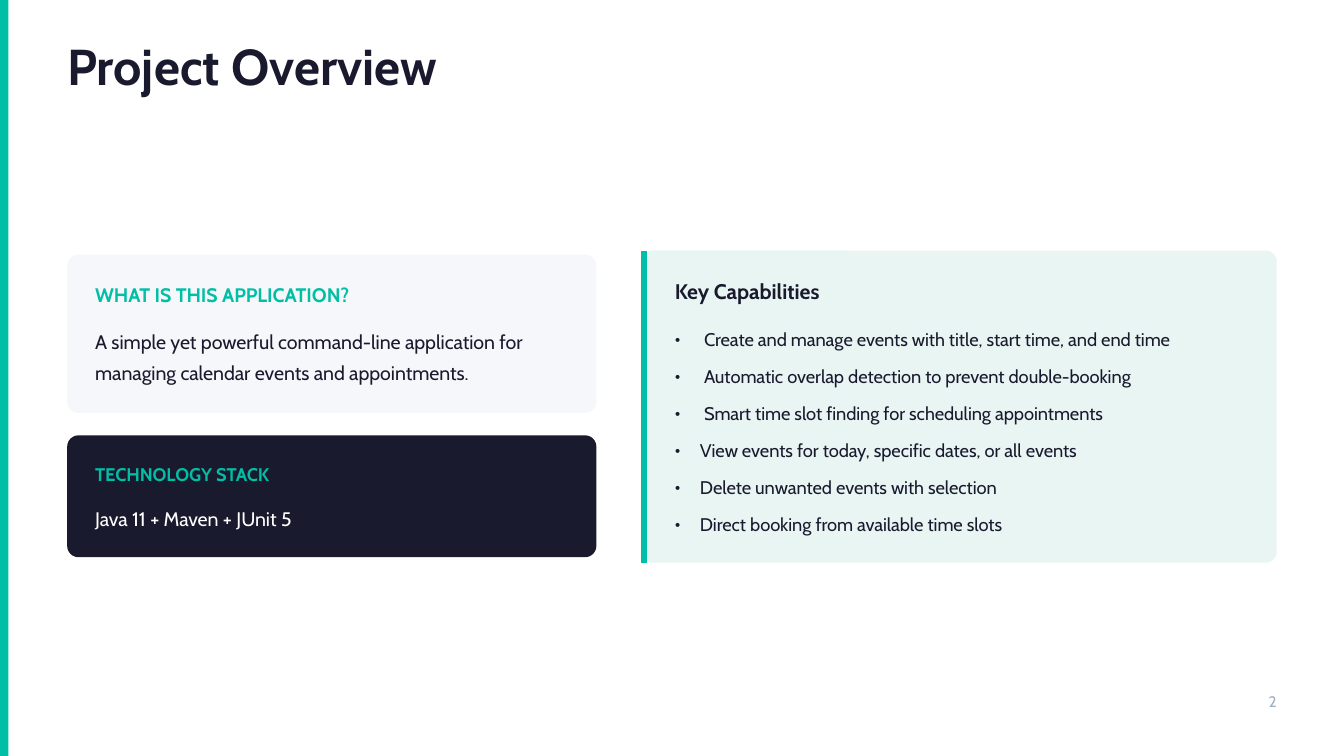
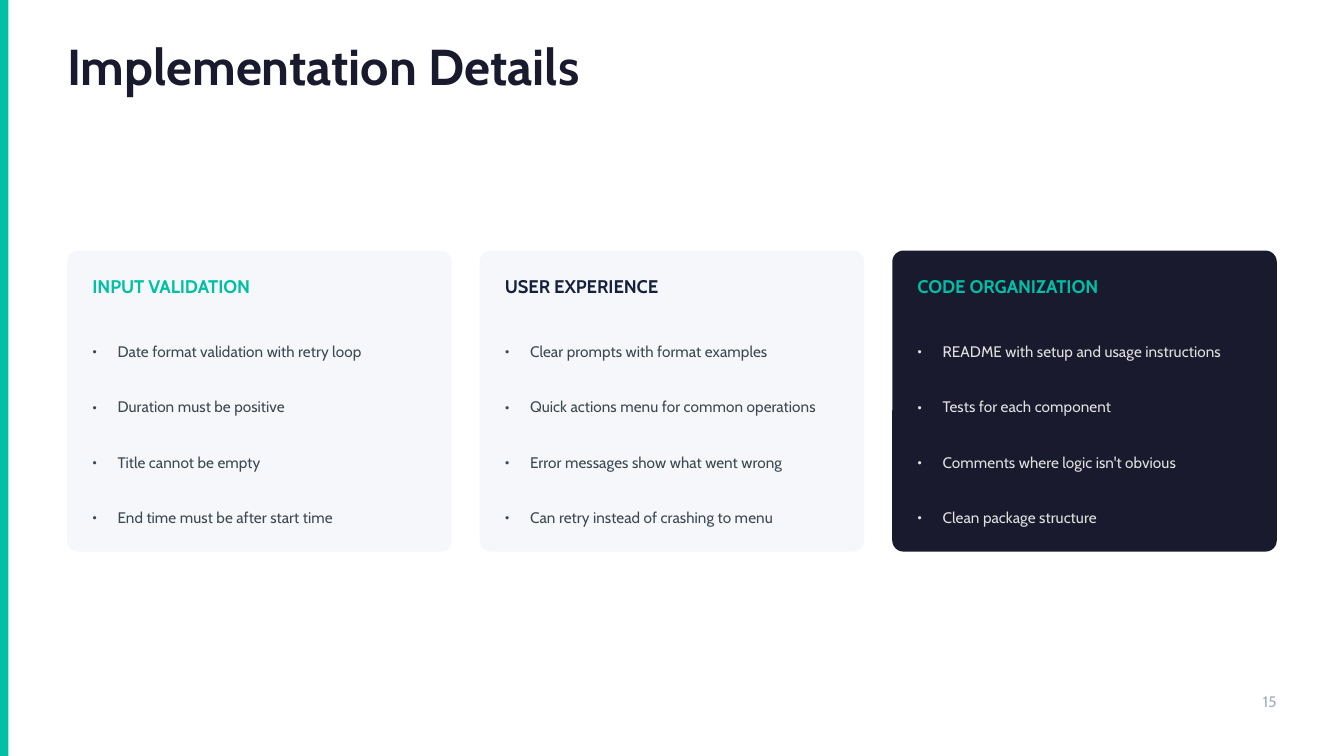
from dataclasses import dataclass

from lxml.etree import SubElement
from pptx import Presentation
from pptx.dml.color import RGBColor
from pptx.enum.shapes import MSO_CONNECTOR, MSO_SHAPE
from pptx.enum.text import PP_ALIGN
from pptx.oxml.ns import qn
from pptx.util import Emu, Pt

PX = 9525  # EMU in one px, 96 px to the inch
WIDTH, HEIGHT = 960, 540
LEFT, RIGHT = 48, 912


def px(n):
    return Emu(round(n * PX))


@dataclass(frozen=True)
class Theme:
    font: str = "Cabin"
    white: str = "FFFFFF"
    accent: str = "00BFA5"
    ink: str = "1A1A2E"
    navy: str = "16213E"
    body: str = "3D4852"
    pale: str = "E0E0E0"
    muted: str = "A0AEC0"
    card: str = "F5F7FA"
    mint: str = "E8F5F3"
    title: float = 27
    heading: float = 11.25
    text: float = 10.5
    label: float = 9.75
    small: float = 8.25
    radius: int = 8
    indent: int = 18


T = Theme()


class Deck:
    def __init__(self):
        self.prs = Presentation()
        self.prs.slide_width, self.prs.slide_height = px(WIDTH), px(HEIGHT)
        self.s = None

    def slide(self, title, number):
        """Start a slide with the side band, title and page number."""
        self.s = self.prs.slides.add_slide(self.prs.slide_layouts[6])
        fill = self.s.background.fill
        fill.solid()
        fill.fore_color.rgb = RGBColor.from_string(T.white)
        self.box(0, 0, 6, HEIGHT, T.accent)
        self.text(LEFT, 32, 442, 36, title, T.title, T.ink, 27,
                  bold=True, space_after=Pt(15))
        self.text(31, 492, RIGHT - 31, 16, str(number), T.small, T.muted,
                  11.55, alignment=PP_ALIGN.RIGHT)

    def box(self, x, y, w, h, color, radius=0):
        kind = MSO_SHAPE.ROUNDED_RECTANGLE if radius else MSO_SHAPE.RECTANGLE
        sp = self.s.shapes.add_shape(kind, px(x), px(y), px(w), px(h))
        if radius:
            sp.adjustments[0] = radius / min(w, h)
        sp.shadow.inherit = False
        sp.fill.solid()
        sp.fill.fore_color.rgb = RGBColor.from_string(color)
        sp.line.fill.background()

    def card(self, x, y, w, h, color):
        self.box(x, y, w, h, color, T.radius)

    def vline(self, x, top, bottom, color, weight):
        cx = self.s.shapes.add_connector(
            MSO_CONNECTOR.STRAIGHT, px(x), px(top), px(x), px(bottom))
        cx.line.color.rgb = RGBColor.from_string(color)
        cx.line.width = Pt(weight)
        SubElement(cx._element.spPr, qn("a:effectLst"))

    def text(self, x, y, w, h, words, size, color, leading, bold=False, **fmt):
        """Add one paragraph in a box without insets; fmt sets its format."""
        tf = self.s.shapes.add_textbox(px(x), px(y), px(w), px(h)).text_frame
        frame = dict.fromkeys(
            ("margin_left", "margin_top", "margin_right", "margin_bottom"), 0)
        for name, value in {**frame, "word_wrap": True}.items():
            setattr(tf, name, value)
        p = tf.paragraphs[0]
        for name, value in {"line_spacing": Pt(leading), **fmt}.items():
            setattr(p, name, value)
        r = p.add_run()
        r.text = words
        font = {"name": T.font, "size": Pt(size), "bold": bold}
        for name, value in font.items():
            setattr(r.font, name, value)
        r.font.color.rgb = RGBColor.from_string(color)
        return p

    def bullets(self, x, y, w, h, pitch, items, size, color, leading):
        """Add a column of bullets, one box each, at an equal pitch."""
        for i, item in enumerate(items):
            after = Pt(6 if i < len(items) - 1 else 0)
            p = self.text(x, y + i * pitch, w, h, item, size, color,
                          leading, space_after=after)
            pPr = p._p.get_or_add_pPr()
            pPr.set("marL", str(px(T.indent)))
            pPr.set("indent", str(px(-T.indent)))
            SubElement(pPr, qn("a:buFont"), typeface=T.font)
            SubElement(pPr, qn("a:buChar"), char="•")


def project_overview(deck):
    deck.slide("Project Overview", 2)

    deck.card(LEFT, 182, 378, 113, T.card)
    deck.text(68, 202, 345, 17, "WHAT IS THIS APPLICATION?", T.text, T.accent,
              12.6, bold=True, space_after=Pt(9))
    deck.text(68, 230, 345, 45,
              "A simple yet powerful command-line application for "
              "managing calendar events and appointments.",
              T.text, T.ink, 16.8)

    deck.card(LEFT, 311, 378, 87, T.ink)
    deck.text(68, 331, 345, 16, "TECHNOLOGY STACK", T.label, T.accent,
              11.7, bold=True, space_after=Pt(9))
    deck.text(68, 359, 345, 20, "Java 11 + Maven + JUnit 5",
              T.text, T.white, 14.7)

    deck.card(458, 179, 454, 223, T.mint)
    deck.vline(460, 179, 402, T.accent, 3)
    deck.text(482, 199, 418, 18, "Key Capabilities", T.heading, T.ink,
              13.5, bold=True, space_after=Pt(12))
    capabilities = [
        " Create and manage events with title, start time, and end time",
        " Automatic overlap detection to prevent double-booking",
        " Smart time slot finding for scheduling appointments",
        "View events for today, specific dates, or all events",
        "Delete unwanted events with selection",
        "Direct booking from available time slots",
    ]
    deck.bullets(482, 232, 418, 18, 26.4, capabilities, T.label, T.ink, 13.65)


def implementation_details(deck):
    deck.slide("Implementation Details", 15)
    columns = [
        ("INPUT VALIDATION", T.card, T.accent, T.body, [
            "Date format validation with retry loop",
            "Duration must be positive",
            "Title cannot be empty",
            "End time must be after start time"]),
        ("USER EXPERIENCE", T.card, T.navy, T.body, [
            "Clear prompts with format examples",
            "Quick actions menu for common operations",
            "Error messages show what went wrong",
            "Can retry instead of crashing to menu"]),
        ("CODE ORGANIZATION", T.ink, T.accent, T.pale, [
            "README with setup and usage instructions",
            "Tests for each component",
            "Comments where logic isn't obvious",
            "Clean package structure"]),
    ]
    gap, pad = 20, 18
    width = (RIGHT - LEFT - gap * (len(columns) - 1)) / len(columns)
    for i, (heading, fill, head_color, color, items) in enumerate(columns):
        x = LEFT + i * (width + gap)
        deck.card(x, 179, width, 215, fill)
        deck.text(x + pad, 197, 244, 16, heading, T.label, head_color,
                  11.7, bold=True, space_after=Pt(10.5))
        deck.bullets(x + pad, 242, 244, 16, 39.6, items, T.small, color, 11.55)


def main():
    deck = Deck()
    project_overview(deck)
    implementation_details(deck)
    deck.prs.save("out.pptx")


if __name__ == "__main__":
    main()
